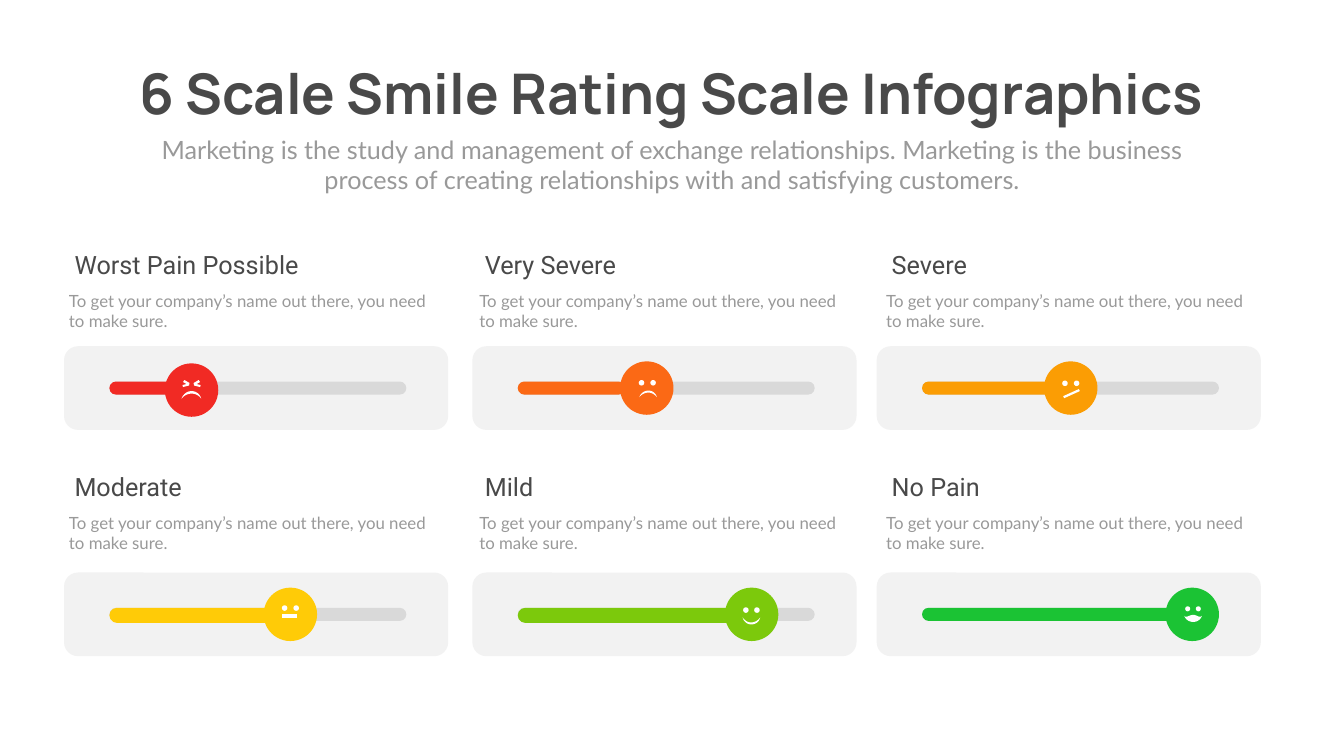
"""Build a slide of six pain ratings shown as sliders with faces."""
from lxml.etree import SubElement
from pptx import Presentation
from pptx.dml.color import RGBColor
from pptx.enum.shapes import MSO_CONNECTOR as Link, MSO_SHAPE as Shape
from pptx.enum.text import MSO_AUTO_SIZE as Fit, PP_ALIGN as Align
from pptx.oxml.ns import qn
from pptx.util import Inches, Pt

DARK = RGBColor(0x49, 0x49, 0x49)
GREY = RGBColor(0x99, 0x99, 0x99)
CARD = RGBColor(0xF2, 0xF2, 0xF2)
TRACK = RGBColor(0xD9, 0xD9, 0xD9)
WHITE = RGBColor(0xFF, 0xFF, 0xFF)
RED = RGBColor(0xF1, 0x2A, 0x24)
ORANGE = RGBColor(0xFB, 0x69, 0x15)
AMBER = RGBColor(0xFB, 0x9D, 0x04)
YELLOW = RGBColor(0xFF, 0xCB, 0x07)
LIME = RGBColor(0x7C, 0xC9, 0x0C)
GREEN = RGBColor(0x1B, 0xC3, 0x34)

TITLE = "6 Scale Smile Rating Scale Infographics"
SUBTITLE = ("Marketing is the study and management of exchange relationships. "
            "Marketing is the business process of creating relationships with "
            "and satisfying customers.")
BODY = "To get your company’s name out there, you need to make sure."

TITLE_FONT = {"name": "Manrope", "size": Pt(80), "bold": True}
SUBTITLE_FONT = {"name": "Lato", "size": Pt(36)}
HEADING_FONT = {"name": "Roboto", "size": Pt(36)}
BODY_FONT = {"name": "Lato", "size": Pt(24)}

COLUMNS = [(1.27, 1.27), (9.37, 9.41), (17.39, 17.48)]
ROWS = [(6.87, 4.9), (11.36, 9.31)]
CARD_SIZE = (7.62, 1.66)
TRACK_SIZE = (5.89, 0.26)
FACE = 1.06

SQUINT = [(0.36, 0.47), (0.48, 0.44), (0.49, 0.39), (0.39, 0.33),
          (0.36, 0.37), (0.43, 0.41), (0.35, 0.43)]
SQUINT_MIRROR = [(FACE - x, y) for x, y in SQUINT]
DEEP_FROWN = [(0.53, 0.55), (0.43, 0.55, 0.36, 0.62, 0.33, 0.70),
              (0.38, 0.64, 0.45, 0.60, 0.53, 0.60),
              (0.61, 0.60, 0.68, 0.64, 0.72, 0.70),
              (0.70, 0.61, 0.62, 0.55, 0.53, 0.55)]
FROWN = [(0.56, 0.58), (0.47, 0.58, 0.41, 0.64, 0.38, 0.71),
         (0.42, 0.66, 0.49, 0.62, 0.56, 0.62),
         (0.63, 0.62, 0.69, 0.66, 0.73, 0.71),
         (0.71, 0.63, 0.64, 0.58, 0.56, 0.58)]
SLANT = [(0.38, 0.69), (0.40, 0.73), (0.71, 0.59), (0.69, 0.55)]
SMILE = [(0.52, 0.69), (0.45, 0.69, 0.39, 0.65, 0.35, 0.59),
         (0.37, 0.67, 0.44, 0.73, 0.52, 0.73),
         (0.61, 0.73, 0.68, 0.68, 0.70, 0.59),
         (0.66, 0.65, 0.59, 0.69, 0.52, 0.69)]
GRIN = [(0.55, 0.54), (0.47, 0.54, 0.41, 0.61, 0.37, 0.56),
        (0.40, 0.63, 0.46, 0.68, 0.55, 0.68),
        (0.63, 0.68, 0.70, 0.63, 0.72, 0.56),
        (0.68, 0.61, 0.62, 0.54, 0.55, 0.54)]

RATINGS = [
    {"name": "Worst Pain Possible", "width": 5.29, "color": RED,
     "bar": (2.13, 0.26), "face": (2.0, 0.34),
     "outlines": [SQUINT, SQUINT_MIRROR, DEEP_FROWN]},
    {"name": "Very Severe", "color": ORANGE, "bar": (2.13, 0.26),
     "face": (2.93, 0.3), "eyes": (0.37, 0.60, 0.37, 0.11), "outlines": [FROWN]},
    {"name": "Severe", "color": AMBER, "bar": (2.64, 0.26),
     "face": (3.32, 0.3), "eyes": (0.36, 0.59, 0.38, 0.11), "outlines": [SLANT]},
    {"name": "Moderate", "color": YELLOW, "bar": (3.35, 0.3),
     "face": (3.96, 0.3), "eyes": (0.36, 0.59, 0.35, 0.11),
     "flat_mouth": (0.37, 0.67, 0.57)},
    {"name": "Mild", "color": LIME, "bar": (4.56, 0.3),
     "face": (5.01, 0.3), "eyes": (0.36, 0.58, 0.39, 0.11), "outlines": [SMILE]},
    {"name": "No Pain", "color": GREEN, "bar": (5.1, 0.26),
     "face": (5.73, 0.3), "eyes": (0.39, 0.60, 0.37, 0.1), "outlines": [GRIN]},
]


def paint(shape, color):
    shape.shadow.inherit = False
    shape.fill.solid()
    shape.fill.fore_color.rgb = color
    shape.line.fill.background()


def add_solid(page, kind, left, top, size, color, round_ends=False):
    shape = page.shapes.add_shape(kind, *map(Inches, (left, top, *size)))
    paint(shape, color)
    if round_ends:
        shape.adjustments[0] = 0.5


def add_text(page, text, place, font, color, align=Align.LEFT, wrap=True):
    box = page.shapes.add_textbox(*map(Inches, place))
    frame = box.text_frame
    frame.word_wrap = wrap
    frame.auto_size = Fit.SHAPE_TO_FIT_TEXT
    para = frame.paragraphs[0]
    para.alignment = align
    span = para.add_run()
    span.text = text
    for key, value in font.items():
        setattr(span.font, key, value)
    span.font.color.rgb = color


def flatten(outline, steps=12):
    """Turn line points and cubic curves into a list of points."""
    points = [outline[0]]
    for part in outline[1:]:
        if len(part) == 2:
            points.append(part)
            continue
        controls = [points[-1], part[:2], part[2:4], part[4:]]
        for step in range(1, steps + 1):
            t = step / steps
            weights = ((1 - t) ** 3, 3 * t * (1 - t) ** 2, 3 * t * t * (1 - t), t ** 3)
            points.append(tuple(sum(w * c[axis] for w, c in zip(weights, controls))
                                for axis in (0, 1)))
    return points


def add_outline(page, left, top, outline):
    points = [(Inches(left + x), Inches(top + y)) for x, y in flatten(outline)]
    builder = page.shapes.build_freeform(*points[0])
    builder.add_line_segments(points[1:], close=True)
    paint(builder.convert_to_shape(), WHITE)


def add_face(page, rating, left, top):
    add_solid(page, Shape.OVAL, left, top, (FACE, FACE), rating["color"])
    if "eyes" in rating:
        *sides, height, size = rating["eyes"]
        for side in sides:
            add_solid(page, Shape.OVAL, left + side, top + height, (size, size), WHITE)
    for outline in rating.get("outlines", []):
        add_outline(page, left, top, outline)
    if "flat_mouth" in rating:
        start, end, height = rating["flat_mouth"]
        y = Inches(top + height)
        mouth = page.shapes.add_connector(
            Link.STRAIGHT, Inches(left + start), y, Inches(left + end), y)
        mouth.line.color.rgb = WHITE
        mouth.line.width = Pt(6)
        SubElement(mouth._element.spPr, qn("a:effectLst"))


def add_rating(page, rating, column, row):
    card_left, text_left = column
    card_top, text_top = row
    track_left, track_top = card_left + 0.9, card_top + 0.7
    add_solid(page, Shape.ROUNDED_RECTANGLE, card_left, card_top, CARD_SIZE, CARD)
    for size, color in ((TRACK_SIZE, TRACK), (rating["bar"], rating["color"])):
        add_solid(page, Shape.ROUNDED_RECTANGLE, track_left, track_top, size, color, True)
    shift, drop = rating["face"]
    add_face(page, rating, card_left + shift, card_top + drop)
    add_text(page, BODY, (text_left, text_top + 0.81, 7.62, 0.91), BODY_FONT, GREY)
    add_text(page, rating["name"],
             (text_left + 0.11, text_top, rating.get("width", 3.26), 0.71),
             HEADING_FONT, DARK)


def main():
    deck = Presentation()
    deck.slide_width, deck.slide_height = Inches(26.66), Inches(15)
    page = deck.slides.add_slide(deck.slide_layouts[6])
    add_text(page, TITLE, (1.92, 1.12, 22.81, 1.45), TITLE_FONT, DARK,
             Align.CENTER, wrap=False)
    add_text(page, SUBTITLE, (2.92, 2.61, 20.82, 1.31), SUBTITLE_FONT, GREY, Align.CENTER)
    for index, rating in enumerate(RATINGS):
        row, column = divmod(index, len(COLUMNS))
        add_rating(page, rating, COLUMNS[column], ROWS[row])
    deck.save("out.pptx")


if __name__ == "__main__":
    main()
